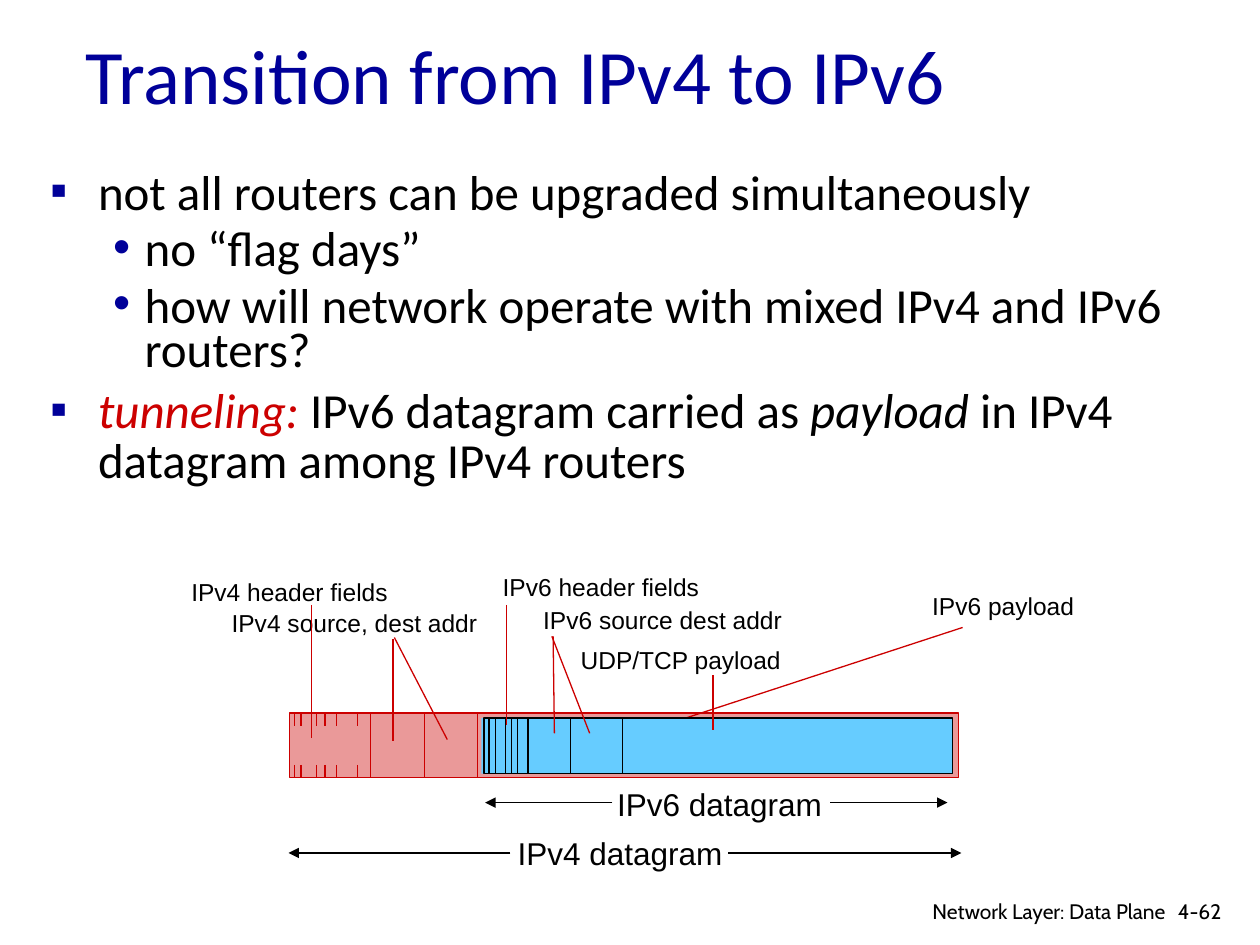
from lxml import etree
from pptx import Presentation
from pptx.dml.color import RGBColor
from pptx.enum.shapes import MSO_CONNECTOR, MSO_SHAPE
from pptx.enum.text import MSO_ANCHOR, PP_ALIGN
from pptx.oxml.ns import qn
from pptx.util import Inches, Pt

STRAIGHT = MSO_CONNECTOR.STRAIGHT
RECTANGLE = MSO_SHAPE.RECTANGLE
MIDDLE, TOP = MSO_ANCHOR.MIDDLE, MSO_ANCHOR.TOP
LEFT, CENTER, RIGHT = PP_ALIGN.LEFT, PP_ALIGN.CENTER, PP_ALIGN.RIGHT
COLORS = {"navy": "000099", "black": "000000", "red": "CC0000", "sky": "66CCFF"}

deck = Presentation()
deck.slide_width, deck.slide_height = Inches(10), Inches(7.5)
page = deck.slides.add_slide(deck.slide_layouts[6])


def add_line(x1, y1, x2, y2, color="red", arrow=False):
    line = page.shapes.add_connector(
        STRAIGHT, Inches(x1), Inches(y1), Inches(x2), Inches(y2))
    line.line.color.rgb = RGBColor.from_string(COLORS[color])
    line.line.width = Pt(0.75)
    properties = line._element.spPr
    if arrow:
        outline = properties.find(qn("a:ln"))
        etree.SubElement(outline, qn("a:tailEnd"), type="triangle")
    etree.SubElement(properties, qn("a:effectLst"))


def add_text(area, paragraphs, size, name, color="black", align=LEFT, anchor=TOP):
    """Each paragraph is (paragraph format, bullet, [(text, color, italic)])."""
    box = page.shapes.add_textbox(*map(Inches, area))
    frame = box.text_frame
    frame.word_wrap = True
    frame.vertical_anchor = anchor
    for index, (layout, bullet, spans) in enumerate(paragraphs):
        para = frame.add_paragraph() if index else frame.paragraphs[0]
        if bullet:
            mark, margin, indent, level = bullet
            para.level = level
            settings = para._p.get_or_add_pPr()
            settings.set("marL", str(Inches(margin)))
            settings.set("indent", str(Inches(indent)))
            tint = etree.SubElement(settings, qn("a:buClr"))
            etree.SubElement(tint, qn("a:srgbClr"), val=COLORS["navy"])
            etree.SubElement(settings, qn("a:buFont"), typeface="Arial")
            etree.SubElement(settings, qn("a:buChar"), char=mark)
        para.alignment = align
        for key, value in layout.items():
            setattr(para, key, value)
        for text, span_color, italic in spans:
            span = para.add_run()
            span.text = text
            font_format = {"size": Pt(size), "name": name, "italic": italic}
            for key, value in font_format.items():
                setattr(span.font, key, value)
            span.font.color.rgb = RGBColor.from_string(COLORS[span_color or color])


# Title
add_text((0.58, 0.25, 8.5, 0.67),
         [({}, None, [("Transition from IPv4 to IPv6", None, False)])],
         44, "Calibri", "navy", anchor=MIDDLE)

# Bulleted points
main_bullet = ("▪", 0.38, -0.38, 0)
sub_bullet = ("•", 0.75, -0.25, 1)
tight = {"line_spacing": 0.75, "space_before": Pt(7)}
add_text((0.3, 1.34, 9.56, 2.72), [
    ({"line_spacing": 0.75}, main_bullet,
     [("not all routers can be upgraded simultaneously", None, False)]),
    (tight, sub_bullet, [("no “flag days”", None, False)]),
    (tight, sub_bullet,
     [("how will network operate with mixed IPv4 and IPv6 routers?", None, False)]),
    ({"line_spacing": 0.85, "space_before": Pt(7)}, main_bullet,
     [("tunneling:", "red", True), (" IPv6 datagram carried as ", None, False),
      ("payload", None, True), (" in IPv4 datagram among IPv4 routers", None, False)]),
], 28, "Calibri")

# Payload leader, ending behind the IPv6 bar
add_line(7.64, 4.98, 4.98, 5.85)

# Datagram bars: area, fill, opacity, outline, outline width
bars = [
    ((2.3, 5.66, 5.31, 0.51), "red", 40, "red", 0.75),
    ((3.82, 5.7, 3.74, 0.44), "sky", 100, None, 0),
    ((3.84, 5.7, 3.72, 0.44), "sky", 100, "black", 1),
]
for area, fill, opacity, outline, width in bars:
    bar = page.shapes.add_shape(RECTANGLE, *map(Inches, area))
    bar.shadow.inherit = False
    bar.fill.solid()
    bar.fill.fore_color.rgb = RGBColor.from_string(COLORS[fill])
    if opacity < 100:
        tint = bar._element.spPr.find(qn("a:solidFill"))[0]
        etree.SubElement(tint, qn("a:alpha"), val=str(opacity * 1000))
    if outline:
        bar.line.color.rgb = RGBColor.from_string(COLORS[outline])
        bar.line.width = Pt(width)
    else:
        bar.line.fill.background()

# IPv4 field dividers and header ticks
for x in (2.94, 3.37, 3.79):
    add_line(x, 5.66, x, 6.17)
for x in (2.34, 2.39, 2.51, 2.58, 2.67, 2.84):
    for y in (5.66, 6.07):
        add_line(x, y, x, y + 0.1)

# IPv6 field dividers
for x in (3.88, 3.93, 4.01, 4.06, 4.11, 4.19, 4.53, 4.94):
    add_line(x, 5.7, x, 6.14, "black")

# Field labels and datagram names, each wide enough for one line
snug = {"line_spacing": 0.85}
labels = [
    ("IPv4 source, dest addr", (1.74, 4.78, 2.3, 0.34), 14, LEFT, {}),
    ("IPv4 header fields", (1.42, 4.53, 1.9, 0.34), 14, LEFT, {}),
    ("IPv6 payload", (7.3, 4.64, 1.5, 0.34), 14, LEFT, {}),
    ("UDP/TCP payload", (4.51, 5.07, 1.9, 0.34), 14, LEFT, {}),
    ("IPv6 source dest addr", (4.16, 4.79, 2.2, 0.3), 14, CENTER, snug),
    ("IPv6 header fields", (3.82, 4.53, 1.9, 0.3), 14, CENTER, snug),
    ("IPv4 datagram", (4.01, 6.57, 1.95, 0.4), 18, LEFT, {}),
    ("IPv6 datagram", (4.8, 6.18, 1.95, 0.4), 18, LEFT, {}),
]
for text, area, size, align, layout in labels:
    add_text(area, [(layout, None, [(text, None, False)])], size, "Arial", align=align)

# Leaders from labels to fields
for ends in ((3.12, 5.07, 3.12, 5.88), (3.13, 5.06, 3.55, 5.87),
             (2.47, 4.8, 2.47, 5.86), (4.39, 5.05, 4.4, 5.82),
             (4.38, 5.05, 4.68, 5.82), (4.02, 4.8, 4.02, 5.75),
             (5.66, 5.36, 5.66, 5.79)):
    add_line(*ends)

# Extent arrows on both sides of each datagram name
for start, end, y in ((5.78, 7.63, 6.77), (4.05, 2.29, 6.77),
                      (6.59, 7.52, 6.37), (4.86, 3.85, 6.37)):
    add_line(start, y, end, y, "black", arrow=True)

# Footer
for text, area, align in (("4-62", (9.25, 7.08, 0.61, 0.3), LEFT),
                          ("Network Layer: Data Plane", (6.97, 7.08, 2.38, 0.26), RIGHT)):
    add_text(area, [({}, None, [(text, None, False)])], 12, "Cabin", align=align)

deck.save("out.pptx")
